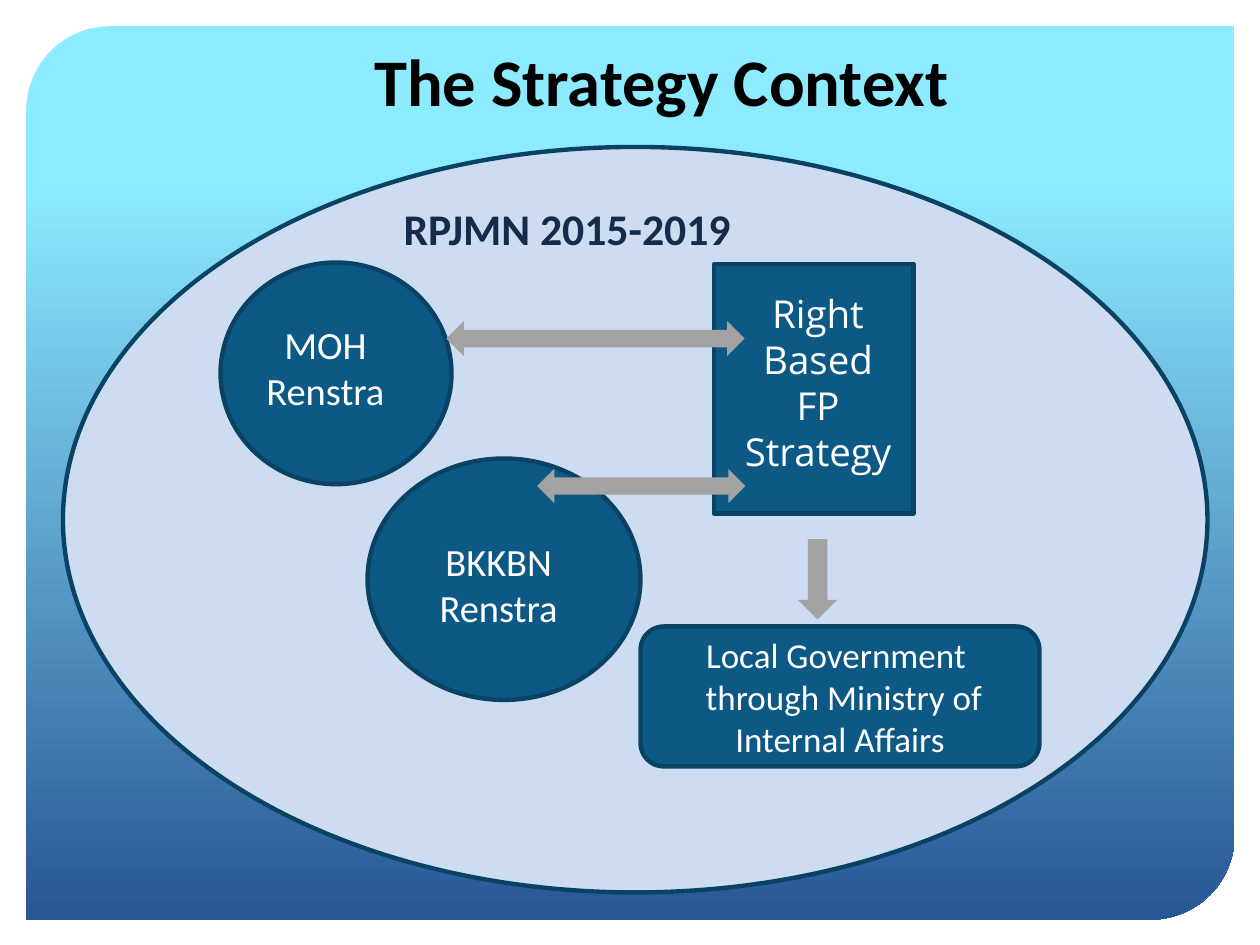
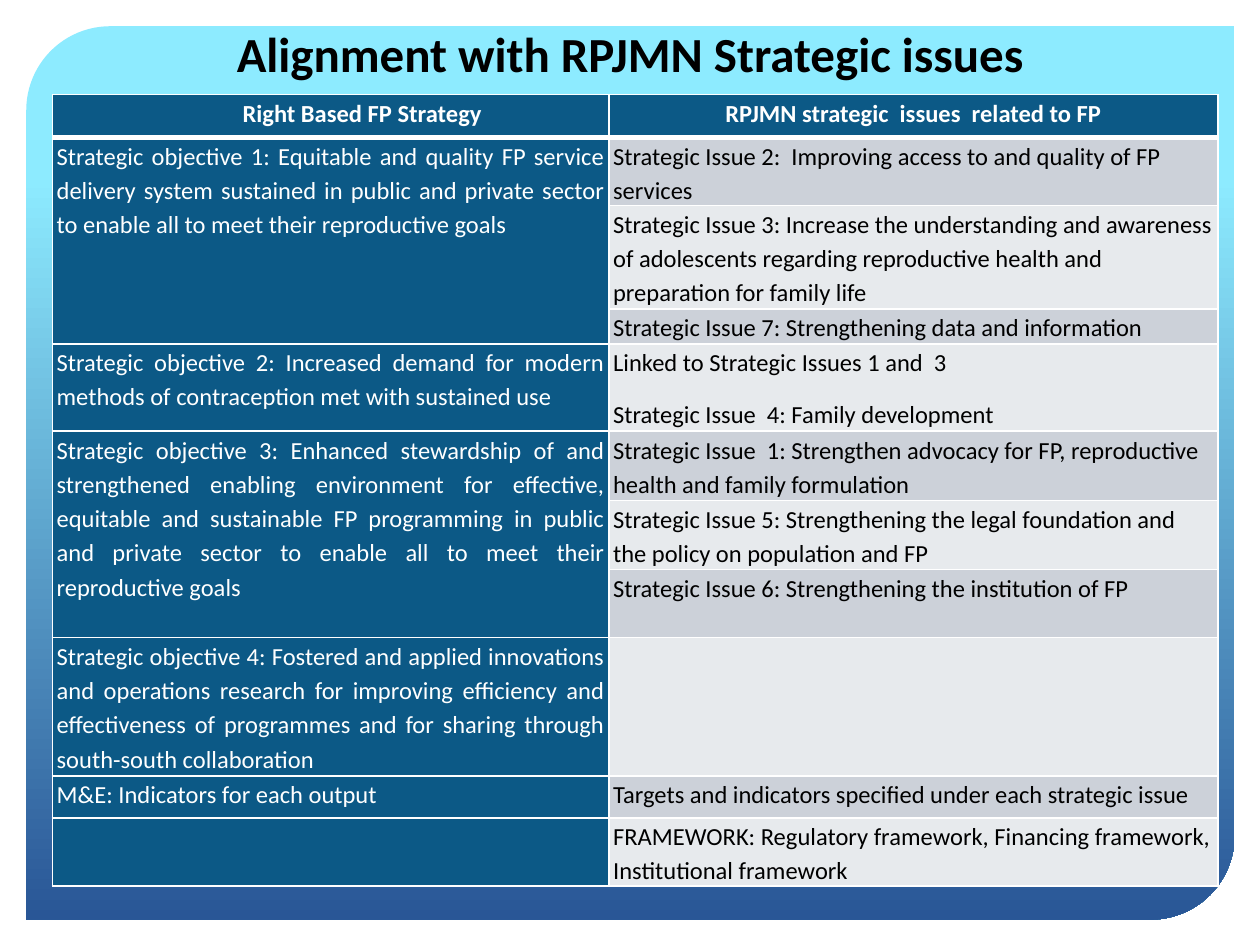
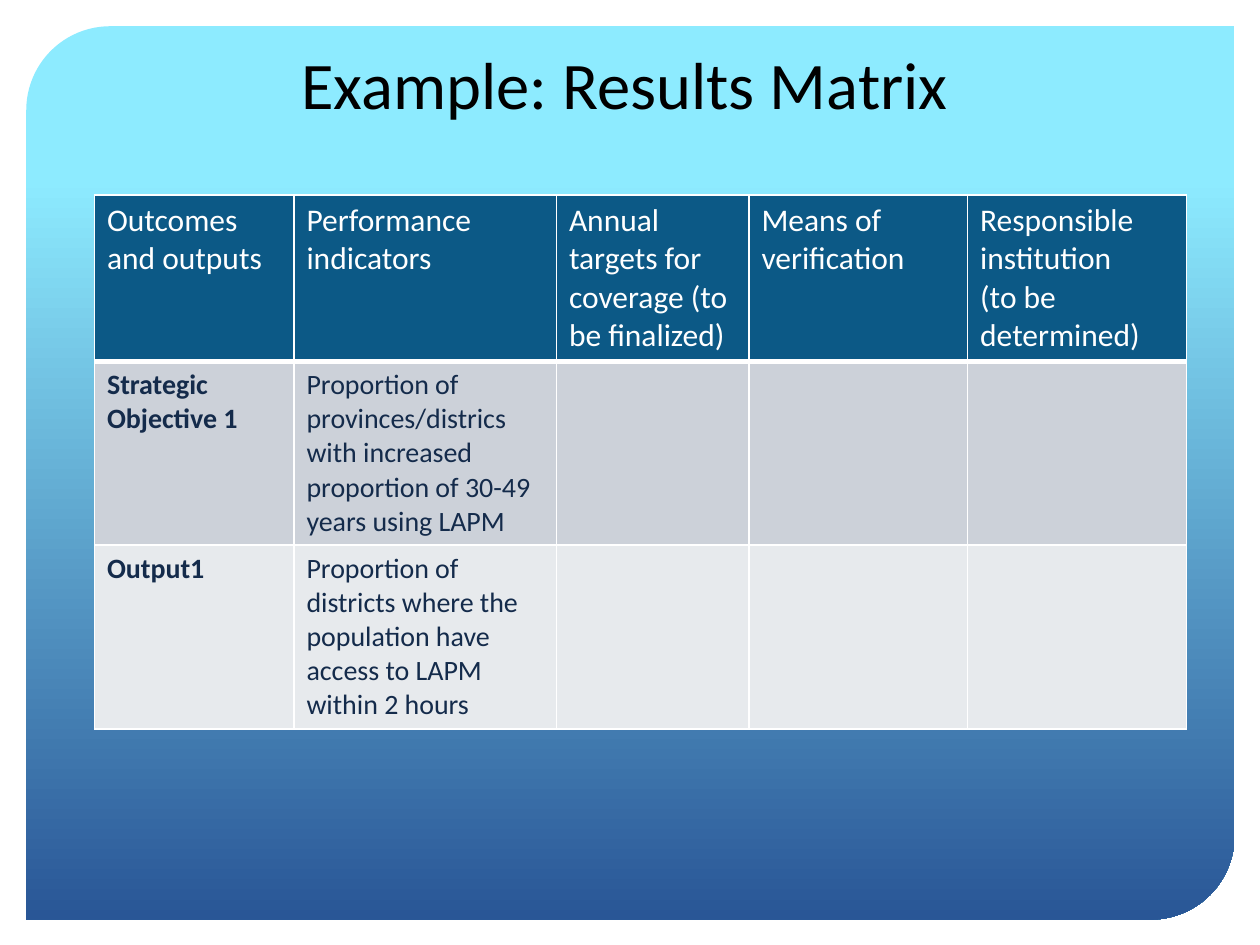
import pptx
import pptx.util
import pptx.dml.color
import pptx.enum.shapes
import pptx.enum.text
import pptx.oxml
import pptx.oxml.ns

Pt = pptx.util.Pt
SHAPE = pptx.enum.shapes.MSO_SHAPE
ALIGN = pptx.enum.text.PP_ALIGN
ANCHOR = pptx.enum.text.MSO_ANCHOR

BLUE, EDGE, PALE, NAVY = "0C5986", "094263", "CDDCF1", "142B4B"
WHITE, BLACK, GREY = "FFFFFF", "000000", "A3A3A3"
BANDS = ["CCD1D9", "E7EAED"]
SKY, DEEP = "8DEBFF", "295696"
PANEL = (15, 15, 690.5, 510.5)


def rgb(value):
    return pptx.dml.color.RGBColor.from_string(value)


def write(tf, text, color, para=None, **font):
    tf.word_wrap = True
    for i, line in enumerate(text.split("\n")):
        p = tf.paragraphs[0] if i == 0 else tf.add_paragraph()
        for name, value in (para or {}).items():
            setattr(p, name, value)
        r = p.add_run()
        r.text = line
        r.font.color.rgb = rgb(color)
        for name, value in {"name": "Calibri", "bold": False, **font}.items():
            setattr(r.font, name, value)


def shape(s, kind, box, fill=BLUE, line=EDGE):
    sp = s.shapes.add_shape(kind, *map(Pt, box))
    sp.shadow.inherit = False
    sp.fill.solid()
    sp.fill.fore_color.rgb = rgb(fill)
    if line:
        sp.line.color.rgb = rgb(line)
        sp.line.width = Pt(2.5)
    else:
        sp.line.fill.background()
    return sp


def label(s, box, text, size, color=WHITE, anchor=ANCHOR.TOP, **font):
    tf = s.shapes.add_textbox(*map(Pt, box)).text_frame
    tf.vertical_anchor = anchor
    write(tf, text, color, {"alignment": ALIGN.CENTER}, size=Pt(size), **font)


def new_slide(prs, title, box, size, bold):
    s = prs.slides.add_slide(prs.slide_layouts[6])
    sp = shape(s, SHAPE.ROUND_2_DIAG_RECTANGLE, PANEL, line=None)
    sp.adjustments[0], sp.adjustments[1] = 0.094, 0
    sp.fill.gradient()
    sp.fill.gradient_angle = 270
    for stop, place, color in zip(sp.fill.gradient_stops, (0.17, 1), (SKY, DEEP)):
        stop.position = place
        stop.color.rgb = rgb(color)
    label(s, box, title, size, BLACK, ANCHOR.BOTTOM, bold=bold)
    return s


def context_diagram(s, box):
    def at(x, y, w, h):
        return box[0] + x, box[1] + y, w, h

    shape(s, SHAPE.OVAL, box, PALE)
    label(s, at(186, 27.6, 204, 37.4), "RPJMN 2015-2019", 25, NAVY, bold=True)
    shape(s, SHAPE.OVAL, at(90, 66, 132, 126.7))
    shape(s, SHAPE.OVAL, at(174, 178, 156, 138))
    label(s, at(198, 220, 102, 60.5), "BKKBN Renstra", 22)
    label(s, at(108, 96, 84, 60.5), "MOH Renstra", 22)
    shape(s, SHAPE.RECTANGLE, at(372, 67, 114, 142.5))
    label(s, at(372, 78, 119, 114), "Right\nBased\nFP Strategy", 22, name="Open Sans")
    sp = shape(s, SHAPE.ROUNDED_RECTANGLE, at(330, 274, 228, 80))
    sp.text_frame.vertical_anchor = ANCHOR.MIDDLE
    write(sp.text_frame, "Local Government \n through Ministry of Internal Affairs", WHITE,
          {"alignment": ALIGN.CENTER}, size=Pt(20))
    for kind, place in [
        (SHAPE.LEFT_RIGHT_ARROW, (219, 99.5, 170.5, 20)),
        (SHAPE.LEFT_RIGHT_ARROW, (271, 184, 119, 19.5)),
        (SHAPE.DOWN_ARROW, (420, 224, 22.5, 46)),
    ]:
        shape(s, kind, at(*place), GREY, None)


def borders(cell, bottom):
    tcPr = cell._tc.get_or_add_tcPr()
    for i, side in enumerate("LRTB"):
        width = Pt(bottom if side == "B" else 1)
        tcPr.insert(i, pptx.oxml.parse_xml(
            f'<a:ln{side} {pptx.oxml.ns.nsdecls("a")} w="{width}"><a:solidFill>'
            f'<a:srgbClr val="{WHITE}"/></a:solidFill></a:ln{side}>'))


def table(s, origin, widths, heights, rows, style):
    frame = s.shapes.add_table(len(rows), len(widths), *map(
        Pt, (*origin, sum(widths), sum(heights))))
    tb = frame.table
    tb.first_row = tb.horz_banding = False
    for col, width in zip(tb.columns, widths):
        col.width = Pt(width)
    for r, (row, height) in enumerate(zip(rows, heights)):
        tb.rows[r].height = Pt(height)
        for c, text in enumerate(row):
            cell = tb.cell(r, c)
            fill, color, para, font, margins = style(r, c)
            cell.fill.solid()
            cell.fill.fore_color.rgb = rgb(fill)
            borders(cell, 1 if r else 3)
            if text:
                for name, value in margins.items():
                    setattr(cell, name, Pt(value))
                write(cell.text_frame, text, color, para, **font)
    return tb


def alignment_style(r, c):
    dark = r == 0 or c == 0
    para = {"line_spacing": 1.15}
    if r == 0:
        para["alignment"] = ALIGN.CENTER
    elif c == 0:
        para["alignment"] = ALIGN.JUSTIFY
    else:
        para["space_after"] = Pt(10)
    margins = {"margin_left": 2.4, "margin_right": 2.4, "margin_top": 0, "margin_bottom": 0}
    return (BLUE if dark else BANDS[(r - 1) % 2], WHITE if dark else BLACK, para,
            {"size": Pt(14), "bold": r == 0}, margins)


def matrix_style(r, c):
    if r == 0:
        return BLUE, WHITE, {}, {"size": Pt(18)}, {}
    return BANDS[r - 1], NAVY, {}, {"size": Pt(16), "bold": c == 0}, {}


ALIGNMENT = [
    ("\tRight Based FP Strategy", "RPJMN strategic  issues  related to FP"),
    ("Strategic objective 1: Equitable and quality FP service delivery system sustained in "
     "public and private sector to enable all to meet their reproductive goals",
     "Strategic Issue 2:  Improving access to and quality of FP services "),
    ("", "Strategic Issue 3: Increase the understanding and awareness of adolescents regarding "
     "reproductive health and preparation for family life "),
    ("", "Strategic Issue 7: Strengthening data and information"),
    ("Strategic objective 2: Increased demand for modern methods of contraception met with "
     "sustained use",
     "Linked to Strategic Issues 1 and  3\nStrategic Issue  4: Family development "),
    ("Strategic objective 3: Enhanced stewardship of and strengthened enabling environment for "
     "effective, equitable and sustainable FP programming in public and private sector to "
     "enable all to meet their reproductive goals",
     "Strategic Issue  1: Strengthen advocacy for FP, reproductive health and family formulation"),
    ("", "Strategic Issue 5: Strengthening the legal foundation and the policy on population "
     "and FP"),
    ("", "Strategic Issue 6: Strengthening the institution of FP"),
    ("Strategic objective 4: Fostered and applied innovations and operations research for "
     "improving efficiency and effectiveness of programmes and for sharing through "
     "south-south collaboration", ""),
    ("M&E: Indicators for each output",
     "Targets and indicators specified under each strategic issue"),
    ("", "FRAMEWORK: Regulatory framework, Financing framework, Institutional framework"),
]
MATRIX = [
    ("Outcomes and outputs", "Performance indicators",
     "Annual targets for coverage (to be finalized)", "Means of verification",
     "Responsible institution \n(to be determined)"),
    ("Strategic Objective 1", "Proportion of provinces/districs with increased proportion of "
     "30-49 years using LAPM", "", "", ""),
    ("Output1", "Proportion of districts where the population have access to LAPM within "
     "2 hours", "", "", ""),
]

prs = pptx.Presentation()
prs.slide_width, prs.slide_height = Pt(720), Pt(540)

s = new_slide(prs, "The Strategy Context", (192, 0, 372, 72), 38, True)
context_diagram(s, (36, 84, 654, 426))

s = new_slide(prs, "Alignment with RPJMN Strategic issues", (42, 6, 636, 44.5), 28, True)
tb = table(s, (30, 54), (318, 348), (24.5, 39, 59, 20, 50, 39.5, 39.5, 39, 79, 24, 39),
           ALIGNMENT, alignment_style)
for first in (1, 5):
    tb.cell(first, 0).merge(tb.cell(first + 2, 0))

s = new_slide(prs, "Example: Results Matrix", (36, 18, 642, 56), 38, False)
table(s, (54, 111.5), (114, 150, 110, 125, 125), (95, 105, 105), MATRIX, matrix_style)

prs.save("out.pptx")
